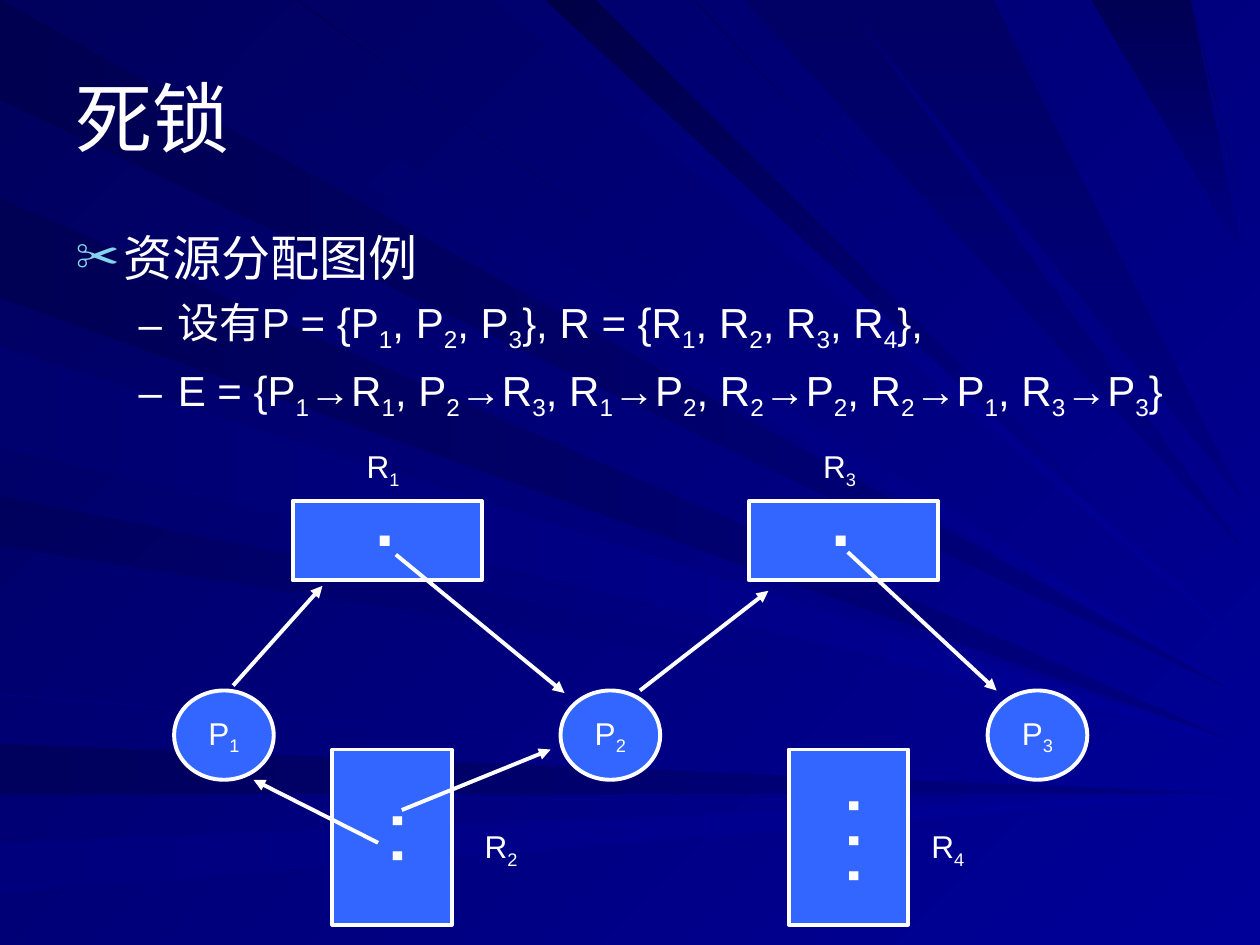
"""Build a slide on deadlock with a resource allocation graph."""
from lxml.etree import SubElement
from pptx import Presentation
from pptx.dml.color import RGBColor
from pptx.enum.shapes import MSO_CONNECTOR, MSO_SHAPE
from pptx.enum.text import MSO_ANCHOR, MSO_AUTO_SIZE, PP_ALIGN
from pptx.oxml.ns import qn
from pptx.util import Cm, Pt

COLORS = {
    "white": "FFFFFF", "node": "3366FF", "scissors": "86D1EC",
    "royal": "000099", "navy": "000080", "ink": "000047", "night": "00004A",
    "abyss": "000051", "deep": "000055", "dusk": "00005D", "slate": "000065",
    "steel": "00006F", "azure": "00007D",
}
RGB = {name: RGBColor.from_string(value) for name, value in COLORS.items()}
ANGLES = {"diagonal": 135, "across": 180, "down": 270}


def paint(fill, first, last, direction):
    fill.gradient()
    fill.gradient_angle = ANGLES[direction]
    for stop, color in zip(fill.gradient_stops, (first, last)):
        stop.color.rgb = RGB[color]


def write(paragraph, text, size=18, bold=False, align=PP_ALIGN.CENTER):
    paragraph.alignment = align
    plain, *marked = text.split("_")
    pieces = [(plain, False)]
    for part in marked:
        pieces += [(part[0], True), (part[1:], False)]
    for piece, subscript in pieces:
        if piece:
            run = paragraph.add_run()
            run.text = piece
            run.font.name = "Arial"
            run.font.size = Pt(size)
            run.font.bold = bold
            run.font.color.rgb = RGB["white"]
            if subscript:
                run._r.get_or_add_rPr().set("baseline", "-25000")


prs = Presentation()
prs.slide_width, prs.slide_height = Cm(25.4), Cm(19.05)
slide = prs.slides.add_slide(prs.slide_layouts[1])
shapes = slide.shapes
title, body = shapes.title, slide.placeholders[1]
paint(slide.background.fill, "royal", "dusk", "diagonal")

rays = [
    ("left", 0, 2.4, 14.5, "navy", "abyss", "across"),
    ("top", 0.7, 2.6, 14.3, "royal", "dusk", "diagonal"),
    ("left", 15.1, 15.8, 16, "navy", "dusk", "across"),
    ("left", 16.9, 17.9, 16.4, "royal", "azure", "across"),
    ("left", 18.7, 19, 16.8, "royal", "steel", "across"),
    ("left", 6.6, 6.9, 15, "royal", "abyss", "diagonal"),
    ("left", 4, 5.8, 14.9, "navy", "deep", "across"),
    ("top", 10.1, 10.6, 13.2, "royal", "steel", "diagonal"),
    ("top", 10.8, 12.5, 12.6, "royal", "ink", "diagonal"),
    ("top", 13.7, 14, 11.8, "royal", "abyss", "diagonal"),
    ("top", 15.4, 16.8, 11.3, "slate", "navy", "down"),
    ("top", 22.5, 23.6, 5.3, "deep", "navy", "down"),
    ("top", 23.9, 24.5, 3.6, "deep", "navy", "down"),
    ("left", 7.1, 8.7, 15.2, "royal", "dusk", "diagonal"),
    ("left", 9.5, 11.1, 15.4, "royal", "dusk", "diagonal"),
    ("left", 14, 14.2, 15.8, "royal", "azure", "across"),
    ("top", 5.7, 6.3, 14, "royal", "night", "diagonal"),
    ("top", 17.4, 19.6, 10.4, "slate", "navy", "down"),
    ("top", 19.9, 20.1, 9.1, "royal", "dusk", "diagonal"),
    ("top", 20.7, 20.9, 8.5, "royal", "steel", "diagonal"),
    ("left", 7.2, 8.8, 15.3, "royal", "steel", "across"),
]
for side, start, end, apex, first, last, direction in rays:
    corners = [(0, start), (0, end)] if side == "left" else [(start, 0), (end, 0)]
    outline = shapes.build_freeform(*corners[0], scale=Cm(1))
    outline.add_line_segments([corners[1], (25.4, apex)], close=True)
    ray = outline.convert_to_shape()
    ray.shadow.inherit = False
    ray.line.fill.background()
    paint(ray.fill, first, last, direction)
    title.element.addprevious(ray.element)

title.left, title.top, title.width, title.height = Cm(1.27), Cm(0.76), Cm(22.86), Cm(3.18)
title.text_frame.vertical_anchor = MSO_ANCHOR.MIDDLE
title.text_frame.auto_size = MSO_AUTO_SIZE.NONE
write(title.text_frame.paragraphs[0], "死锁", size=44, align=PP_ALIGN.LEFT)

body.left, body.top, body.width, body.height = Cm(1.27), Cm(4.45), Cm(22.86), Cm(4.67)
body.text_frame.auto_size = MSO_AUTO_SIZE.NONE
topics = [
    "资源分配图例",
    "设有P = {P_1, P_2, P_3}, R = {R_1, R_2, R_3, R_4},",
    "E = {P_1→R_1, P_2→R_3, R_1→P_2, R_2→P_2, R_2→P_1, R_3→P_3}",
]
BULLETS = [
    (28, 7, "✂", "scissors", "90000", 0.97, -0.97),
    (24, 6, "–", "white", "100000", 2.06, -0.79),
]
for index, text in enumerate(topics):
    topic = body.text_frame.add_paragraph() if index else body.text_frame.paragraphs[0]
    topic.level = min(index, 1)
    size, before, mark, color, percent, margin, indent = BULLETS[topic.level]
    topic.space_before = Pt(before)
    write(topic, text, size=size, align=PP_ALIGN.LEFT)
    props = topic._p.get_or_add_pPr()
    props.set("marL", str(Cm(margin)))
    props.set("indent", str(Cm(indent)))
    SubElement(SubElement(props, qn("a:buClr")), qn("a:srgbClr")).set("val", COLORS[color])
    SubElement(props, qn("a:buSzPct")).set("val", percent)
    SubElement(props, qn("a:buFont")).set("typeface", "Arial")
    SubElement(props, qn("a:buChar")).set("char", mark)

WIDE, TALL, ROUND = (3.81, 1.6), (2.41, 3.53), (2.01, 1.8)
nodes = [(MSO_SHAPE.OVAL, left, 13.92, ROUND, f"P_{number}")
         for number, left in enumerate((3.51, 11.3, 19.91), 1)]
captions = []
for offset, wide_name, tall_name, tall_caption in ((0, "R_1", "R_2", 9.3), (9.2, "R_3", "R_4", 18.31)):
    nodes.append((MSO_SHAPE.RECTANGLE, 5.9 + offset, 10.1, WIDE, ""))
    nodes.append((MSO_SHAPE.RECTANGLE, 6.7 + offset, 15.11, TALL, ""))
    captions.append((wide_name, 7.14 + offset, 8.89, 1.17, 1.12, 18))
    captions.append((tall_name, tall_caption, 16.54, 1.6, 1.12, 18))
    captions.append((".", 7.32 + offset, 9.48, 0.89, 1.96, 40))
captions += [(". .", 7.29, 16.13, 2.03, 1.32, 36), (". . .", 14.96, 15.82, 3.56, 2.03, 36)]

for preset, left, top, (width, height), text in nodes:
    node = shapes.add_shape(preset, Cm(left), Cm(top), Cm(width), Cm(height))
    node.shadow.inherit = False
    node.fill.solid()
    node.fill.fore_color.rgb = RGB["node"]
    node.line.color.rgb = RGB["white"]
    node.line.width = Pt(2.25)
    if text:
        node.text_frame.word_wrap = False
        write(node.text_frame.paragraphs[0], text)

for text, left, top, width, height, size in captions:
    caption = shapes.add_textbox(Cm(left), Cm(top), Cm(width), Cm(height))
    frame = caption.text_frame
    frame.word_wrap = False
    frame.auto_size = MSO_AUTO_SIZE.SHAPE_TO_FIT_TEXT
    if " " in text:
        frame.margin_left = frame.margin_right = Cm(0.13)
        frame.margin_top = frame.margin_bottom = Cm(0.25)
        caption.element.txBody.find(qn("a:bodyPr")).set("vert", "eaVert")
    write(frame.paragraphs[0], text, size=size, bold="." in text)

edges = [
    (4.7, 13.82, 6.5, 11.81), (7.62, 16.99, 5.11, 15.72), (7.98, 11.18, 11.38, 13.97),
    (8.1, 16.33, 11.1, 15.11), (12.9, 13.92, 15.49, 11.91), (17.09, 11.13, 20.09, 13.92),
]
for ends in edges:
    edge = shapes.add_connector(MSO_CONNECTOR.STRAIGHT, *map(Cm, ends))
    edge.line.color.rgb = RGB["white"]
    edge.line.width = Pt(2.25)
    edge_props = edge.element.spPr
    SubElement(edge_props.find(qn("a:ln")), qn("a:tailEnd")).set("type", "triangle")
    SubElement(edge_props, qn("a:effectLst"))

prs.save("out.pptx")
